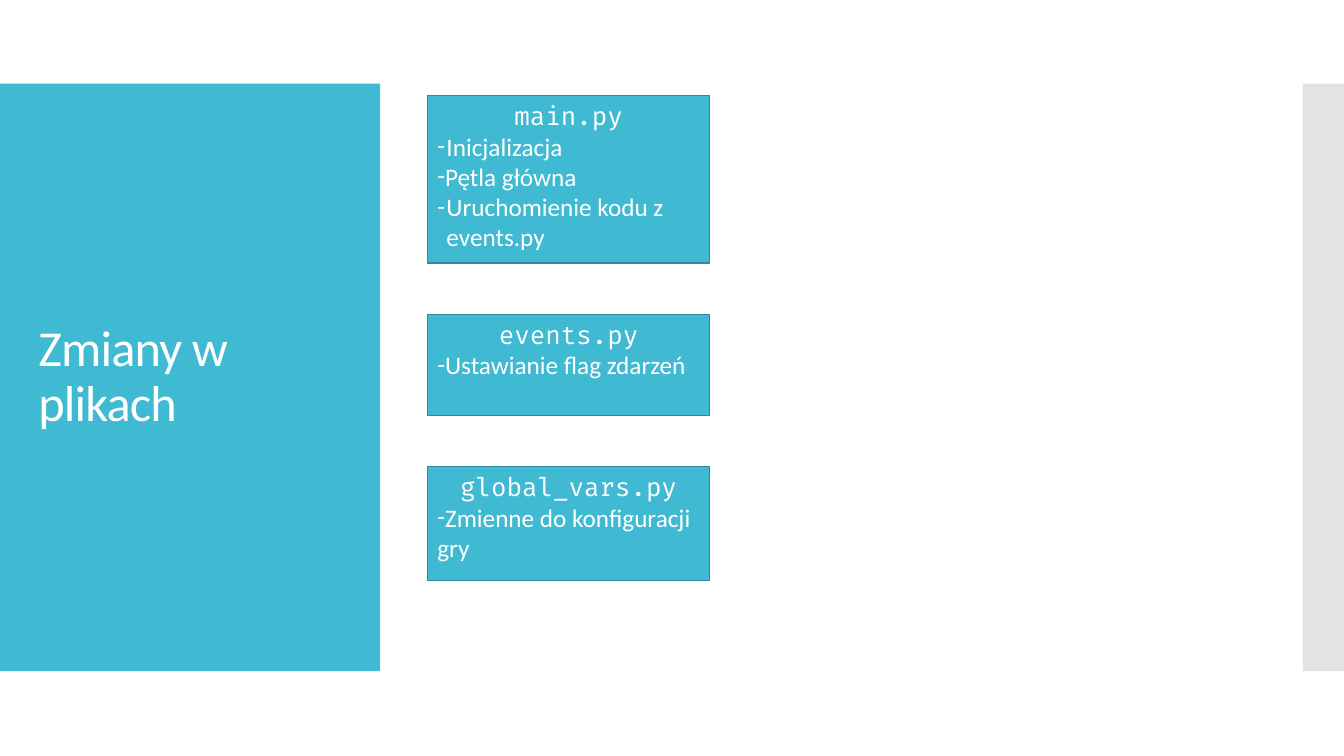
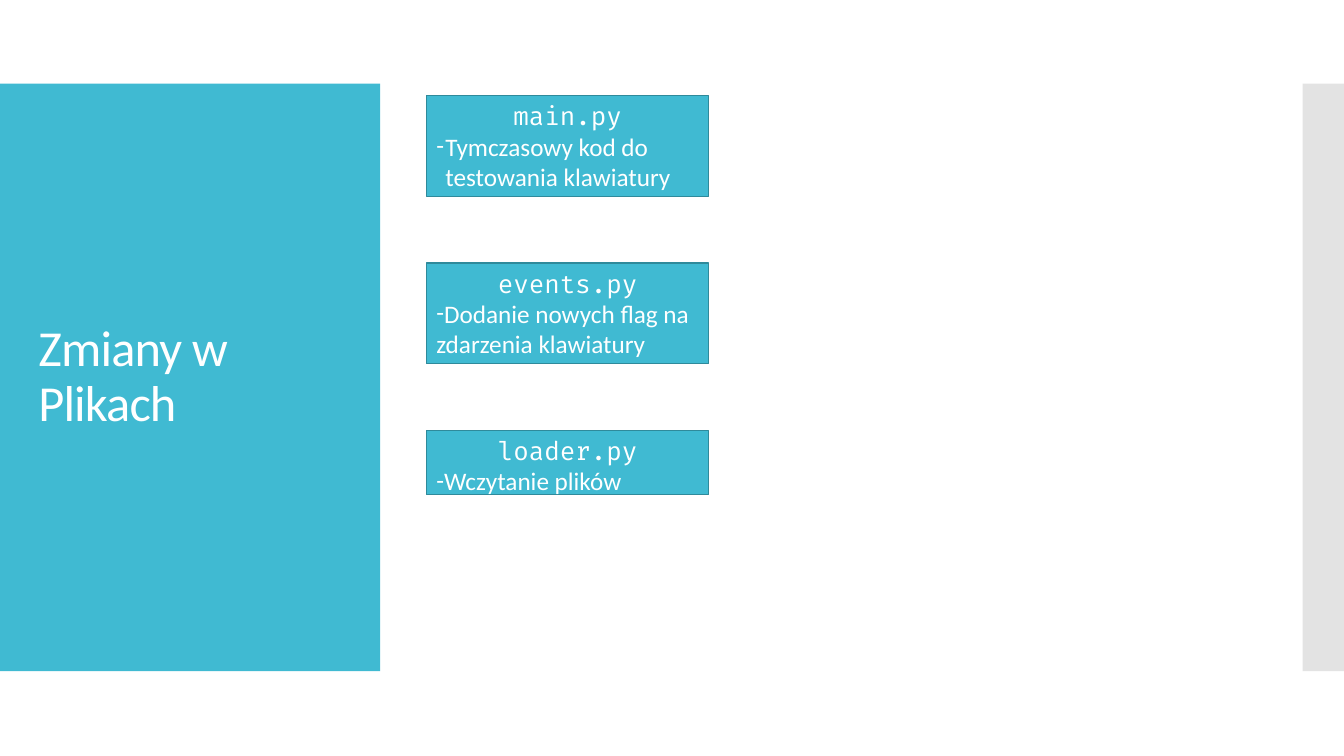
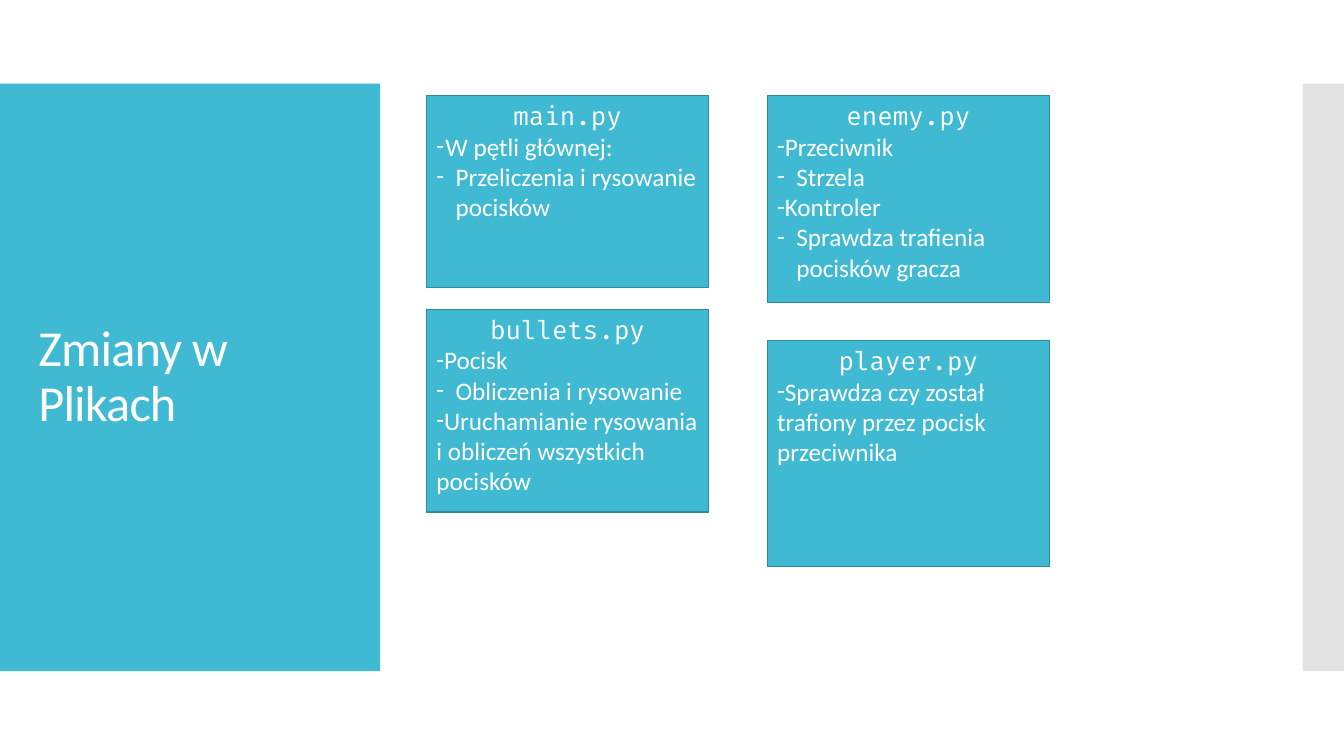
from pptx import Presentation
from pptx.dml.color import RGBColor
from pptx.enum import shapes, text
from pptx.oxml import ns
from pptx.util import Inches, Pt
from lxml import etree

# Content: (title, columns); column: (left, gap, files);
# file: (name, height, items); item: (words, hanging indent)
SLIDES = [
    ("Zmiany w plikach", [
        (4.24, 0.51, [
            ("main.py", 1.66, [("Inicjalizacja", 0.09),
                               ("Pętla główna", 0),
                               ("Uruchomienie kodu z events.py", 0.09)]),
            ("events.py", 1, [("Ustawianie flag zdarzeń", 0)]),
            ("global_vars.py", 1.13, [("Zmienne do konfiguracji gry", 0)]),
        ]),
    ]),
    ("Zmiany w Plikach", [
        (4.23, 0.66, [
            ("main.py", 1, [("Tymczasowy kod do testowania klawiatury", 0.09)]),
            ("events.py", 1, [("Dodanie nowych flag na zdarzenia klawiatury", 0)]),
            ("loader.py", 0.64, [("Wczytanie plików", 0)]),
        ]),
    ]),
    ("Zmiany w Plikach", [
        (4.23, 0.22, [
            ("main.py", 1.9, [("W pętli głównej:", 0.09),
                              ("Przeliczenia i rysowanie pocisków", 0.19)]),
            ("bullets.py", 2.01, [
                ("Pocisk", 0),
                ("Obliczenia i rysowanie", 0.19),
                ("Uruchamianie rysowania i obliczeń wszystkich pocisków", 0)]),
        ]),
        (7.61, 0.38, [
            ("enemy.py", 2.05, [("Przeciwnik", 0),
                                ("Strzela", 0.19),
                                ("Kontroler", 0),
                                ("Sprawdza trafienia pocisków gracza", 0.19)]),
            ("player.py", 2.24, [
                ("Sprawdza czy został trafiony przez pocisk przeciwnika", 0)]),
        ]),
    ]),
]

# Shared look
COLORS = {"main": "40BAD2", "edge": "2F8A9B", "side": "C8C8C8", "text": "FFFFFF"}
BODY, CODE = "Calibri", "Fira Code"
TOP, WIDTH = 0.95, 2.8
BANDS = [((0, 0.83, 3.77, 5.83), "main", 100),
         ((12.92, 0.83, 0.42, 5.83), "side", 50)]
TITLE = (0.28, 1.23, 3.22, 5.03)
FRAME = {"word_wrap": True, "auto_size": text.MSO_AUTO_SIZE.NONE}


def color(name):
    return RGBColor.from_string(COLORS[name])


def apply(thing, values):
    for name, value in values.items():
        setattr(thing, name, value)


def add_rect(slide, box, fill):
    rect = slide.shapes.add_shape(shapes.MSO_SHAPE.RECTANGLE, *map(Inches, box))
    rect.shadow.inherit = False
    rect.fill.solid()
    rect.fill.fore_color.rgb = color(fill)
    return rect


def add_run(para, words, face, size):
    run = para.add_run()
    run.text = words
    apply(run.font, {"name": face, "size": Pt(size)})
    run.font.color.rgb = color("text")
    return run


def add_dash(para, hang):
    props = para._p.get_or_add_pPr()
    props.set("marL", str(Inches(hang)))
    props.set("indent", str(-Inches(hang)))
    etree.SubElement(props, ns.qn("a:buFont")).set("typeface", BODY)
    etree.SubElement(props, ns.qn("a:buChar")).set("char", "-")


def add_file(slide, box, name, items):
    rect = add_rect(slide, box, "main")
    rect.line.color.rgb = color("edge")
    rect.line.width = Pt(0.85)
    frame = rect.text_frame
    apply(frame, {**FRAME, "vertical_anchor": text.MSO_ANCHOR.TOP})
    head = frame.paragraphs[0]
    head.alignment = text.PP_ALIGN.CENTER
    add_run(head, name, CODE, 18)
    for words, hang in items:
        para = frame.add_paragraph()
        para.alignment = text.PP_ALIGN.LEFT
        add_dash(para, hang)
        add_run(para, words, BODY, 18)


def set_title(slide, words):
    title = slide.shapes.title
    apply(title, dict(zip(("left", "top", "width", "height"), map(Inches, TITLE))))
    frame = title.text_frame
    apply(frame, {**FRAME, "vertical_anchor": text.MSO_ANCHOR.MIDDLE})
    para = frame.paragraphs[0]
    apply(para, {"alignment": text.PP_ALIGN.LEFT, "line_spacing": 0.9})
    run = add_run(para, words, BODY, 36)
    run._r.get_or_add_rPr().set("spc", "-60")


def add_bands(slide, layout):
    # Drawn once, then moved behind everything in the layout
    for box, fill, alpha in BANDS:
        band = add_rect(slide, box, fill)
        band.line.fill.background()
        if alpha < 100:
            tint = band.element.spPr.find(".//" + ns.qn("a:srgbClr"))
            etree.SubElement(tint, ns.qn("a:alpha")).set("val", str(alpha * 1000))
        layout.shapes.element.insert(2, band.element)


deck = Presentation()
deck.slide_width, deck.slide_height = Inches(13.33), Inches(7.5)
layout = deck.slide_layouts[5]

for title, columns in SLIDES:
    slide = deck.slides.add_slide(layout)
    set_title(slide, title)
    for left, gap, files in columns:
        top = TOP
        for name, height, items in files:
            add_file(slide, (left, top, WIDTH, height), name, items)
            top += height + gap

add_bands(deck.slides[0], layout)
deck.save("out.pptx")
